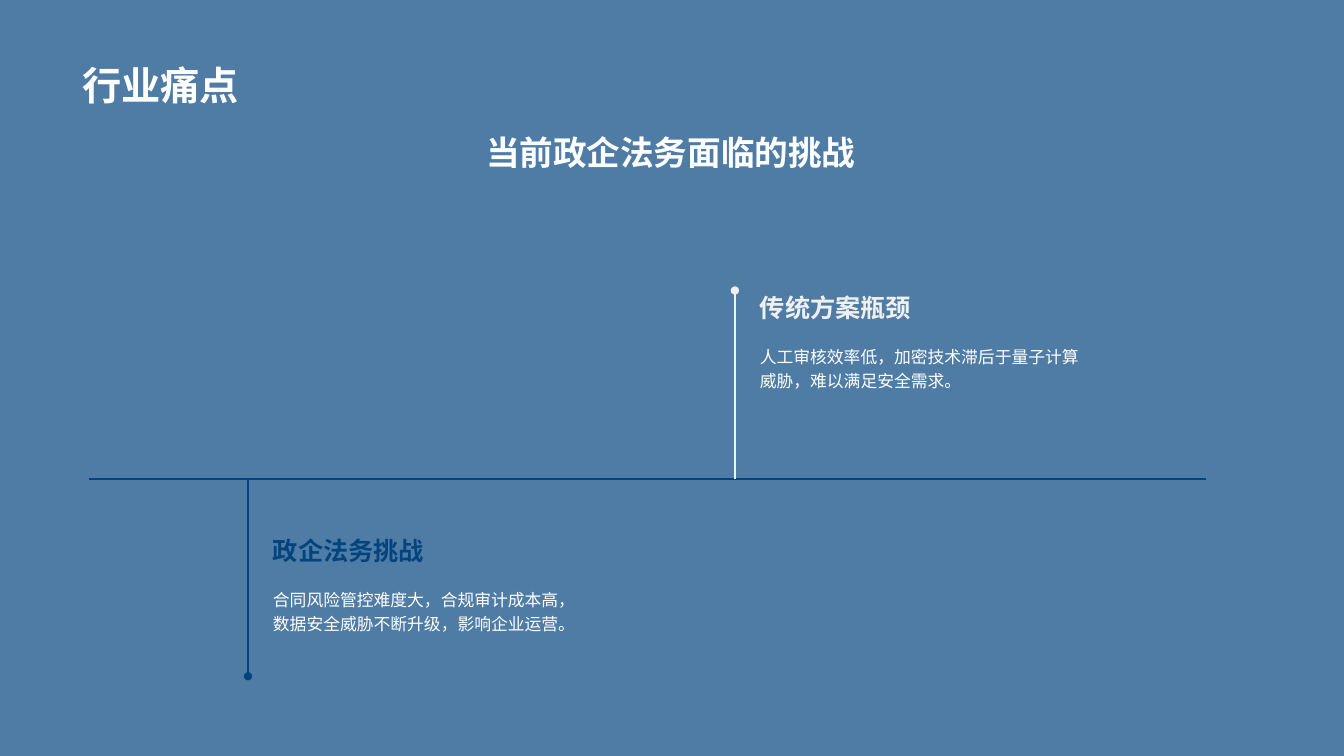
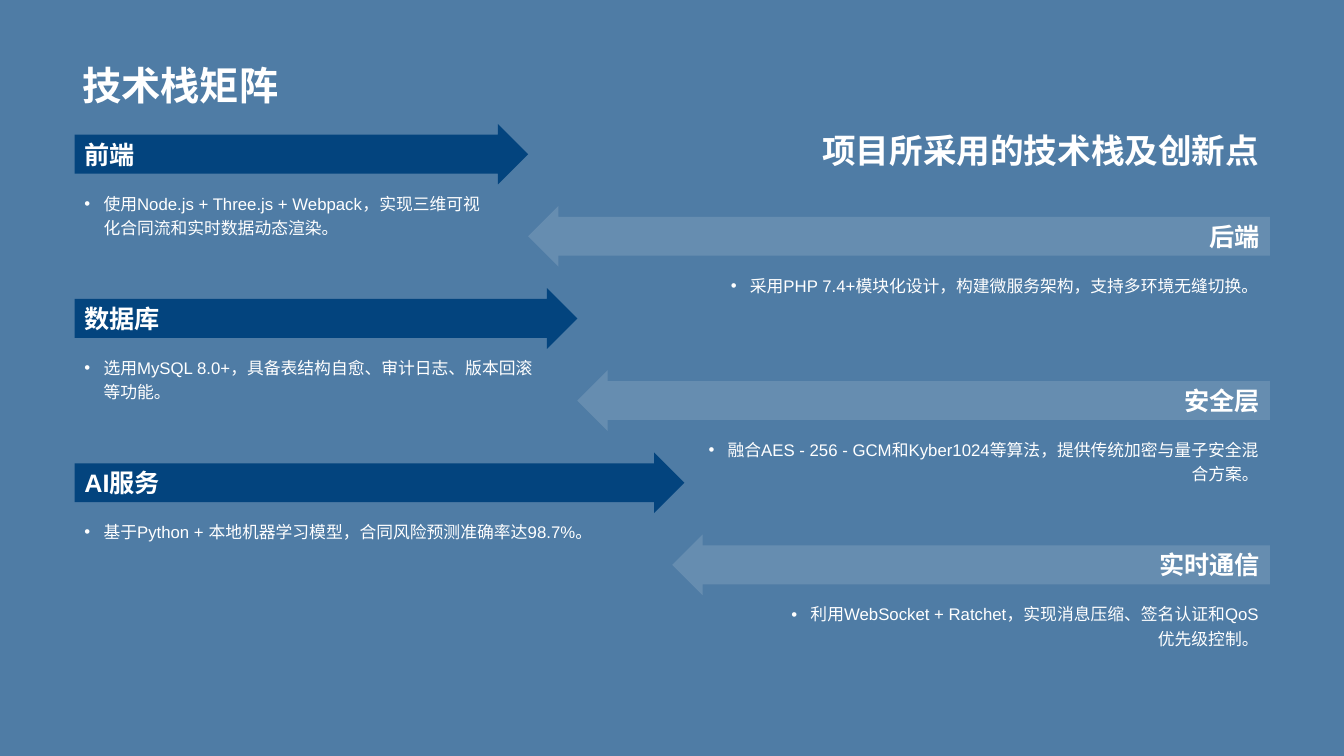
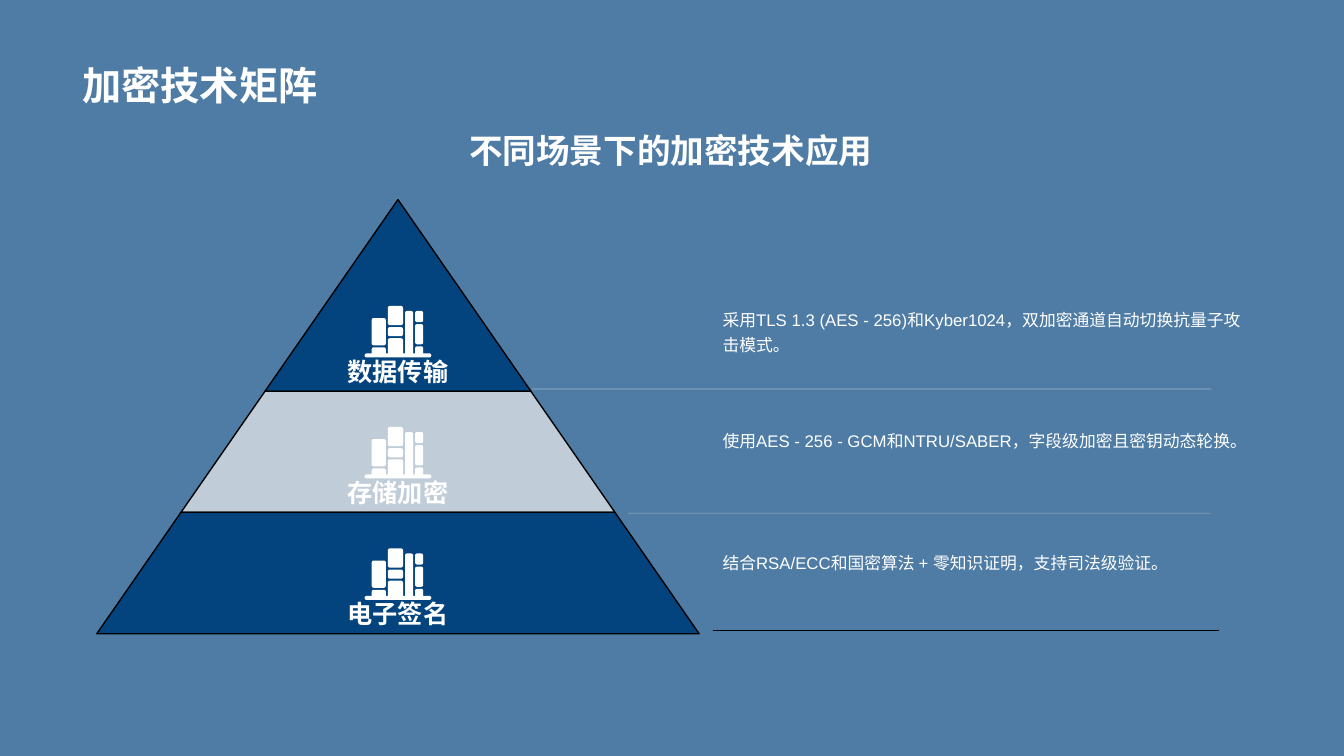
from dataclasses import dataclass
from math import cos, pi, sin

from lxml import etree
from pptx import Presentation
from pptx.dml.color import RGBColor
from pptx.enum import shapes, text
from pptx.oxml import ns
from pptx.util import Cm, Pt

COLORS = {
    "background": "4F7CA5",
    "navy": "03447E",
    "pale": "F0F0F0",
    "white": "FFFFFF",
    "black": "000000",
}
STYLES = {
    "title": {"name": "Arial", "size": Pt(28), "bold": True},
    "subtitle": {"name": "Arial", "size": Pt(24), "bold": True},
    "heading": {"name": "Arial", "size": Pt(18), "bold": True},
    "body": {"name": "Arial", "size": Pt(12), "bold": False},
}
LEFT, CENTER, RIGHT = text.PP_ALIGN.LEFT, text.PP_ALIGN.CENTER, text.PP_ALIGN.RIGHT
TOP, MIDDLE, BOTTOM = text.MSO_ANCHOR.TOP, text.MSO_ANCHOR.MIDDLE, text.MSO_ANCHOR.BOTTOM


@dataclass
class Box:
    """A rectangle in centimetres."""
    left: float
    top: float
    width: float
    height: float

    def lengths(self) -> list:
        return [Cm(v) for v in (self.left, self.top, self.width, self.height)]


@dataclass
class Milestone:
    stem_x: float
    stem_end: float
    heading_top: float
    width: float
    color: str
    heading: str
    body: str


@dataclass
class Layer:
    heading: str
    body: str
    arrow_width: float
    body_width: float


@dataclass
class Tier:
    bottom: float
    color: str
    opacity: int
    heading: str
    body: str


@dataclass
class Rule:
    start: float
    end: float
    y: float
    color: str
    opacity: int


@dataclass
class Book:
    """A part of the icon, in icon units; flat parts have square lower corners."""
    left: float
    top: float
    right: float
    bottom: float
    flat: bool = False


MILESTONES = [
    Milestone(6.25, 17.04, 12.73, 8.25, "navy", "政企法务挑战",
              "合同风险管控难度大，合规审计成本高，数据安全威胁不断升级，影响企业运营。"),
    Milestone(18.52, 7.32, 6.6, 8.69, "pale", "传统方案瓶颈",
              "人工审核效率低，加密技术滞后于量子计算威胁，难以满足安全需求。"),
]
AXIS_Y = 12.07

LAYERS = [
    Layer("前端", "使用Node.js + Three.js + Webpack，实现三维可视化合同流和实时数据动态渲染。",
          11.43, 10.85),
    Layer("后端", "采用PHP 7.4+模块化设计，构建微服务架构，支持多环境无缝切换。",
          18.69, 15.47),
    Layer("数据库", "选用MySQL 8.0+，具备表结构自愈、审计日志、版本回滚等功能。",
          12.67, 12.04),
    Layer("安全层", "融合AES - 256 - GCM和Kyber1024等算法，提供传统加密与量子安全混合方案。",
          17.45, 14.45),
    Layer("AI服务", "基于Python + 本地机器学习模型，合同风险预测准确率达98.7%。",
          15.37, 14.6),
    Layer("实时通信", "利用WebSocket + Ratchet，实现消息压缩、签名认证和QoS优先级控制。",
          15.06, 12.47),
]

APEX_X, APEX_Y, BASE_Y, HALF_BASE = 10.03, 5.03, 15.97, 7.59
TIERS = [
    Tier(9.86, "navy", 100, "数据传输",
         "采用TLS 1.3 (AES - 256)和Kyber1024，双加密通道自动切换抗量子攻击模式。"),
    Tier(12.91, "pale", 70, "存储加密",
         "使用AES - 256 - GCM和NTRU/SABER，字段级加密且密钥动态轮换。"),
    Tier(BASE_Y, "navy", 100, "电子签名",
         "结合RSA/ECC和国密算法 + 零知识证明，支持司法级验证。"),
]
RULES = [
    Rule(13.41, 30.53, 9.8, "pale", 50),
    Rule(15.82, 30.53, 12.93, "pale", 50),
    Rule(17.96, 30.73, 15.88, "black", 100),
]

ICON_WIDTH, ICON_UNITS, ICON_RADIUS = 1.68, 66, 2
BOOKS = [
    Book(23, 0, 38, 19), Book(23, 21, 38, 30), Book(23, 32, 38, 47, True),
    Book(7, 12, 21, 39), Book(7, 41, 21, 47, True),
    Book(40, 5, 48, 47, True),
    Book(50, 5, 58, 16), Book(50, 18, 58, 38), Book(50, 40, 58, 47, True),
    Book(0, 47, 66, 51),
]


def rgb(color: str) -> RGBColor:
    return RGBColor.from_string(COLORS[color])


def set_opacity(element, percent: int) -> None:
    if percent < 100:
        for color in element.iter(ns.qn("a:srgbClr")):
            etree.SubElement(color, ns.qn("a:alpha"), val=str(percent * 1000))


def paint(shape, color: str, opacity: int = 100, outline: str = "") -> None:
    shape.shadow.inherit = False
    shape.fill.solid()
    shape.fill.fore_color.rgb = rgb(color)
    set_opacity(shape._element.spPr, opacity)
    if outline:
        shape.line.color.rgb = rgb(outline)
        shape.line.width = Pt(1)
    else:
        shape.line.fill.background()


def write(shape, words: str, style: str, color: str = "white", align=LEFT,
          anchor=TOP, bullet: bool = False) -> None:
    frame = shape.text_frame
    frame.word_wrap = True
    frame.vertical_anchor = anchor
    para = frame.paragraphs[0]
    if bullet:
        props = para._p.get_or_add_pPr()
        props.set("marL", str(Cm(0.48)))
        props.set("indent", str(-Cm(0.48)))
        etree.SubElement(props, ns.qn("a:buFont"), typeface="Arial")
        etree.SubElement(props, ns.qn("a:buChar"), char="•")
    para.alignment = align
    if style == "body":
        para.line_spacing = 1.2
    span = para.add_run()
    span.text = words
    for name, value in STYLES[style].items():
        setattr(span.font, name, value)
    span.font.color.rgb = rgb(color)


def add_label(page, box: Box, words: str, style: str, **options) -> None:
    write(page.shapes.add_textbox(*box.lengths()), words, style, **options)


def add_line(page, start: tuple, end: tuple, color: str, width: float,
             opacity: int = 100, dot: bool = False) -> None:
    """Draw a line, with a round end mark if dot is set."""
    ends = [Cm(v) for v in (*start, *end)]
    line = page.shapes.add_connector(shapes.MSO_CONNECTOR.STRAIGHT, *ends)
    line.line.color.rgb = rgb(color)
    line.line.width = Pt(width)
    props = line._element.spPr
    set_opacity(props, opacity)
    if dot:
        etree.SubElement(line.line._get_or_add_ln(), ns.qn("a:tailEnd"), type="oval")
    etree.SubElement(props, ns.qn("a:effectLst"))


def add_outline(page, contours: list):
    """Build one freeform from closed contours given in centimetres."""
    paths = [[(Cm(x), Cm(y)) for x, y in contour] for contour in contours]
    builder = page.shapes.build_freeform(*paths[0][0])
    for number, points in enumerate(paths):
        if number:
            builder.move_to(*points[0])
        builder.add_line_segments(points[1:], close=True)
    return builder.convert_to_shape()


def book_contour(book: Book) -> list:
    corners = [(book.right, book.bottom, -1, -1), (book.left, book.bottom, 1, -1),
               (book.left, book.top, 1, 1), (book.right, book.top, -1, 1)]
    points = []
    for quarter, (x, y, inward_x, inward_y) in enumerate(corners):
        radius = 0 if book.flat and quarter < 2 else ICON_RADIUS
        for step in range(5 if radius else 1):
            angle = (quarter + step / 4) * pi / 2
            points.append((x + radius * (inward_x + cos(angle)),
                           y + radius * (inward_y + sin(angle))))
    return points


def add_book_icon(page, left: float, top: float) -> None:
    unit = ICON_WIDTH / ICON_UNITS
    contours = [[(left + x * unit, top + y * unit) for x, y in book_contour(book)]
                for book in BOOKS]
    paint(add_outline(page, contours), "white")


def add_page(deck, title: str, subtitle: str, top: float = 3.15, align=CENTER):
    page = deck.slides.add_slide(deck.slide_layouts[6])
    page.background.fill.solid()
    page.background.fill.fore_color.rgb = rgb("background")
    add_label(page, Box(1.83, 0.36, 30.18, 2.49), title, "title", anchor=BOTTOM)
    add_label(page, Box(1.83, top, 30.15, 1.85), subtitle, "subtitle", align=align)
    return page


def build_challenges(deck) -> None:
    page = add_page(deck, "行业痛点", "当前政企法务面临的挑战", top=3.2)
    add_line(page, (2.24, AXIS_Y), (30.38, AXIS_Y), "navy", 1.75)
    for item in MILESTONES:
        left = item.stem_x + 0.38
        add_line(page, (item.stem_x, AXIS_Y), (item.stem_x, item.stem_end),
                 item.color, 1.75, dot=True)
        add_label(page, Box(left, item.heading_top, item.width, 1.65), item.heading,
                  "heading", color=item.color, anchor=BOTTOM)
        add_label(page, Box(left, item.heading_top + 1.9, item.width, 2.41),
                  item.body, "body")


def build_stack(deck) -> None:
    page = add_page(deck, "技术栈矩阵", "项目所采用的技术栈及创新点", align=RIGHT)
    height = 1.53
    for row, layer in enumerate(LAYERS):
        top = 3.12 + 2.07 * row
        if row % 2:
            kind, align, color, opacity = shapes.MSO_SHAPE.LEFT_ARROW, RIGHT, "pale", 15
            left, body_left = 32 - layer.arrow_width, 31.97 - layer.body_width
        else:
            kind, align, color, opacity = shapes.MSO_SHAPE.RIGHT_ARROW, LEFT, "navy", 100
            left = body_left = 1.88
        arrow_box = Box(left, top, layer.arrow_width, height)
        arrow = page.shapes.add_shape(kind, *arrow_box.lengths())
        arrow.adjustments[0] = 0.64
        arrow.adjustments[1] = 0.5
        paint(arrow, color, opacity)
        write(arrow, layer.heading, "heading", align=align, anchor=MIDDLE)
        add_label(page, Box(body_left, top + height, layer.body_width, 2.06),
                  layer.body, "body", align=align, bullet=True)


def build_pyramid(deck) -> None:
    page = add_page(deck, "加密技术矩阵", "不同场景下的加密技术应用")
    for rule in RULES:
        add_line(page, (rule.start, rule.y), (rule.end, rule.y), rule.color, 0.5,
                 rule.opacity)
    top = APEX_Y
    for tier in TIERS:
        upper, lower = (HALF_BASE * (y - APEX_Y) / (BASE_Y - APEX_Y)
                        for y in (top, tier.bottom))
        block = add_outline(page, [[
            (APEX_X - lower, tier.bottom), (APEX_X - upper, top),
            (APEX_X + upper, top), (APEX_X + lower, tier.bottom)]])
        paint(block, tier.color, tier.opacity, outline="black")
        write(block, tier.heading, "heading", align=CENTER, anchor=BOTTOM)
        add_book_icon(page, APEX_X - ICON_WIDTH / 2, tier.bottom - 2.15)
        add_label(page, Box(17.96, tier.bottom - 2.27, 13.67, 2.11), tier.body, "body")
        top = tier.bottom


def main() -> None:
    deck = Presentation()
    deck.slide_width, deck.slide_height = Cm(33.87), Cm(19.05)
    build_challenges(deck)
    build_stack(deck)
    build_pyramid(deck)
    deck.save("out.pptx")


if __name__ == "__main__":
    main()
